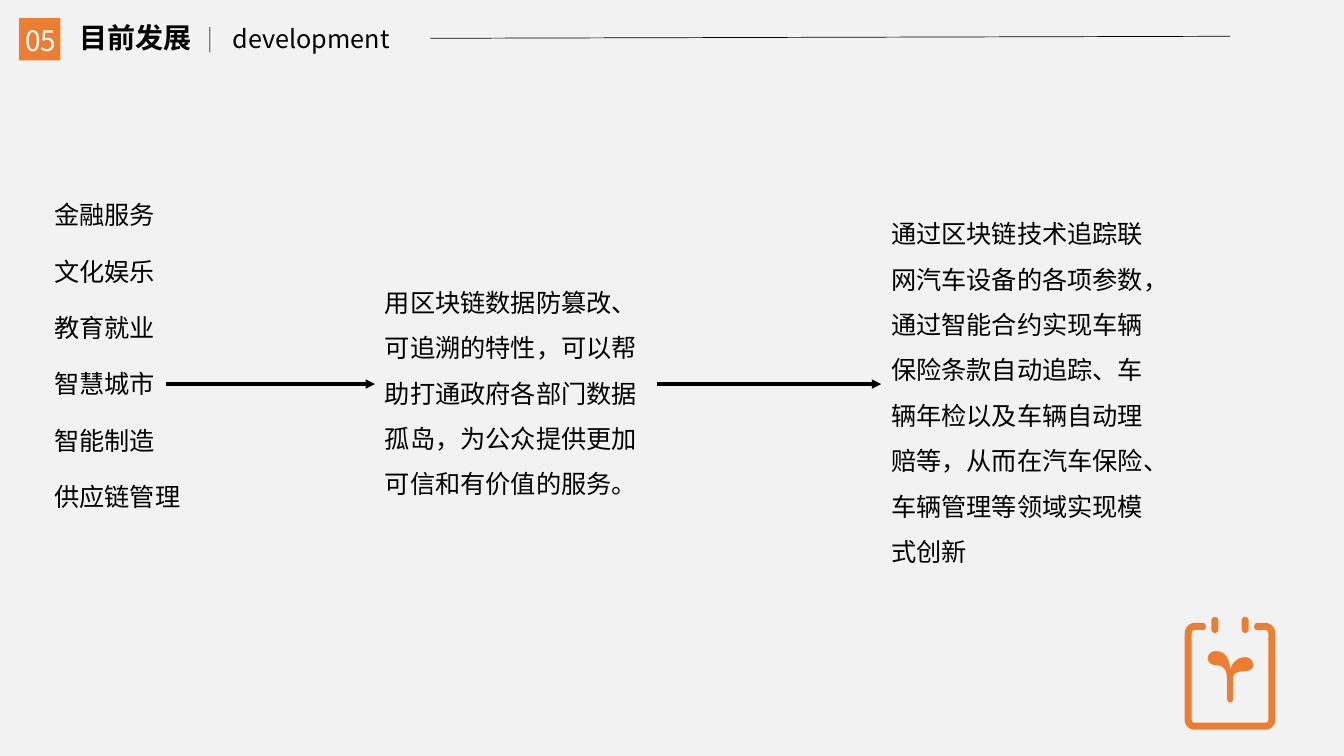
"""Builds the 目前发展 slide: service list, data benefits and vehicle use case, linked by arrows."""
from lxml import etree
from pptx import Presentation, util as u
from pptx.dml.color import RGBColor
from pptx.enum import shapes, text
from pptx.oxml.ns import qn

THEME = dict(font="Noto Sans CJK SC", bg="F2F2F2", accent="ED7D31", ink="000000",
             white="FFFFFF", title=20, body=18, hair=0.5, rule=1, arrow=2.25)
W, H = 13.33, 7.5

NUMBER, TITLE, SUBTITLE = "05", "目前发展", "development"
SERVICES = ["金融服务", "文化娱乐", "教育就业", "智慧城市", "智能制造", "供应链管理"]
BENEFIT = "用区块链数据防篡改、可追溯的特性，可以帮助打通政府各部门数据孤岛，为公众提供更加可信和有价值的服务。"
USE_CASE = ("通过区块链技术追踪联网汽车设备的各项参数，通过智能合约实现车辆保险条款自动追踪、"
            "车辆年检以及车辆自动理赔等，从而在汽车保险、车辆管理等领域实现模式创新")

LIST_X, LIST_Y, LIST_STEP, LINE_H = 0.44, 1.93, 0.56, 0.4
CHAR_W, INSETS = 0.25, 0.21
BENEFIT_BOX = (3.72, 2.65, 2.8, 2.32)
USE_CASE_BOX = (8.74, 1.97, 2.94, 3.68)
ARROW_Y = 3.81

ICON_X, ICON_Y = 12.2, 6.12
PIN_W, PIN_H, PIN_OFFSET = 0.07, 0.16, 0.15
FRAME_HALF = [(0, 1.12), (0.35, 1.12), (0.41, 1.12, 0.45, 1.07, 0.45, 1.02), (0.45, 0.17),
              (0.45, 0.11, 0.41, 0.06, 0.35, 0.06), (0.27, 0.06),
              (0.25, 0.06, 0.24, 0.08, 0.24, 0.1), (0.24, 0.12, 0.25, 0.13, 0.27, 0.13),
              (0.35, 0.13), (0.37, 0.13, 0.38, 0.15, 0.38, 0.17), (0.38, 1.02),
              (0.38, 1.04, 0.37, 1.05, 0.35, 1.05), (0, 1.05)]
SPROUT = [(0.14, 0.54), (0.04, 0.54, 0.03, 0.58, 0.03, 0.62), (0.03, 0.82),
          (0.03, 0.83, 0.02, 0.85, 0, 0.85), (-0.01, 0.85, -0.03, 0.83, -0.03, 0.82),
          (-0.03, 0.62), (-0.03, 0.59, -0.03, 0.48, -0.13, 0.48),
          (-0.19, 0.48, -0.22, 0.45, -0.22, 0.41), (-0.22, 0.38, -0.2, 0.34, -0.14, 0.34),
          (-0.04, 0.34, 0, 0.43, 0, 0.52), (0.02, 0.46, 0.07, 0.4, 0.15, 0.4),
          (0.19, 0.4, 0.23, 0.43, 0.23, 0.48), (0.23, 0.5, 0.21, 0.54, 0.14, 0.54)]

prs = Presentation()
prs.slide_width, prs.slide_height = u.Inches(W), u.Inches(H)
s = prs.slides.add_slide(prs.slide_layouts[6])


def color(name):
    return RGBColor.from_string(THEME[name])


def paint(sp):
    sp.shadow.inherit = False
    sp.fill.solid()
    sp.fill.fore_color.rgb = color("accent")
    sp.line.fill.background()


def block(kind, *box):
    sp = s.shapes.add_shape(kind, *map(u.Inches, box))
    paint(sp)
    return sp


def label(words, box, size="body", ink="ink", bold=False, wrap=True, middle=False,
          align=text.PP_ALIGN.LEFT, spacing=None):
    tf = s.shapes.add_textbox(*map(u.Inches, box)).text_frame
    tf.text = words
    tf.word_wrap = wrap
    tf.auto_size = text.MSO_AUTO_SIZE.SHAPE_TO_FIT_TEXT
    tf.vertical_anchor = text.MSO_ANCHOR.MIDDLE if middle else text.MSO_ANCHOR.TOP
    p = tf.paragraphs[0]
    p.alignment, p.line_spacing = align, spacing
    r = p.runs[0]
    r.font.name, r.font.size, r.font.bold = THEME["font"], u.Pt(THEME[size]), bold
    r.font.color.rgb = color(ink)
    etree.SubElement(r._r.get_or_add_rPr(), qn("a:ea"), typeface=THEME["font"])


def line(x1, y1, x2, y2, weight, arrow=False, opacity=None):
    cn = s.shapes.add_connector(shapes.MSO_CONNECTOR.STRAIGHT, *map(u.Inches, (x1, y1, x2, y2)))
    cn.line.color.rgb, cn.line.width = color("ink"), u.Pt(THEME[weight])
    ln = cn.line._get_or_add_ln()
    if opacity:
        etree.SubElement(ln.find(".//" + qn("a:srgbClr")), qn("a:alpha"), val=str(opacity * 1000))
    if arrow:
        etree.SubElement(ln, qn("a:tailEnd"), type="triangle")
    etree.SubElement(cn._element.spPr, qn("a:effectLst"))


def trace(outline, steps=8):
    points = [outline[0]]
    for seg in outline[1:]:
        if len(seg) == 2:
            points.append(seg)
            continue
        ctrl = [points[-1], seg[:2], seg[2:4], seg[4:]]
        for i in range(1, steps + 1):
            t = i / steps
            weights = ((1 - t) ** 3, 3 * t * (1 - t) ** 2, 3 * t * t * (1 - t), t ** 3)
            points.append(tuple(sum(k * c[axis] for k, c in zip(weights, ctrl)) for axis in (0, 1)))
    return points


def draw(points):
    pts = [(u.Inches(ICON_X + x), u.Inches(ICON_Y + y)) for x, y in points]
    fb = s.shapes.build_freeform(*pts[0])
    fb.add_line_segments(pts[1:], close=True)
    paint(fb.convert_to_shape())


s.background.fill.solid()
s.background.fill.fore_color.rgb = color("bg")

block(shapes.MSO_SHAPE.RECTANGLE, 0.19, 0.18, 0.41, 0.42)
label(NUMBER, (-0.07, 0.18, 0.95, 0.44), "title", "white", middle=True, align=text.PP_ALIGN.CENTER)
label(TITLE, (0.69, 0.15, 1.91, 0.44), "title", bold=True, middle=True)
line(2.08, 0.27, 2.08, 0.52, "rule", opacity=49)
line(4.27, 0.38, 12.2, 0.36, "hair")
label(SUBTITLE, (2.21, 0.18, 2.06, LINE_H))

for row, service in enumerate(SERVICES):
    label(service, (LIST_X, LIST_Y + row * LIST_STEP, len(service) * CHAR_W + INSETS, LINE_H), wrap=False)
label(BENEFIT, BENEFIT_BOX, spacing=1.5)
label(USE_CASE, USE_CASE_BOX, spacing=1.5)

list_right = LIST_X + len(SERVICES[0]) * CHAR_W + INSETS
for start, end in ((list_right, BENEFIT_BOX[0]), (sum(BENEFIT_BOX[::2]), USE_CASE_BOX[0])):
    line(start, ARROW_Y, end, ARROW_Y, "arrow", arrow=True)

right_half = trace(FRAME_HALF)
draw(right_half + [(-x, y) for x, y in reversed(right_half)])
for side in (-1, 1):
    pin = block(shapes.MSO_SHAPE.ROUNDED_RECTANGLE, ICON_X + side * PIN_OFFSET - PIN_W / 2,
                ICON_Y, PIN_W, PIN_H)
    pin.adjustments[0] = 0.5
draw(trace(SPROUT))

prs.save("out.pptx")
